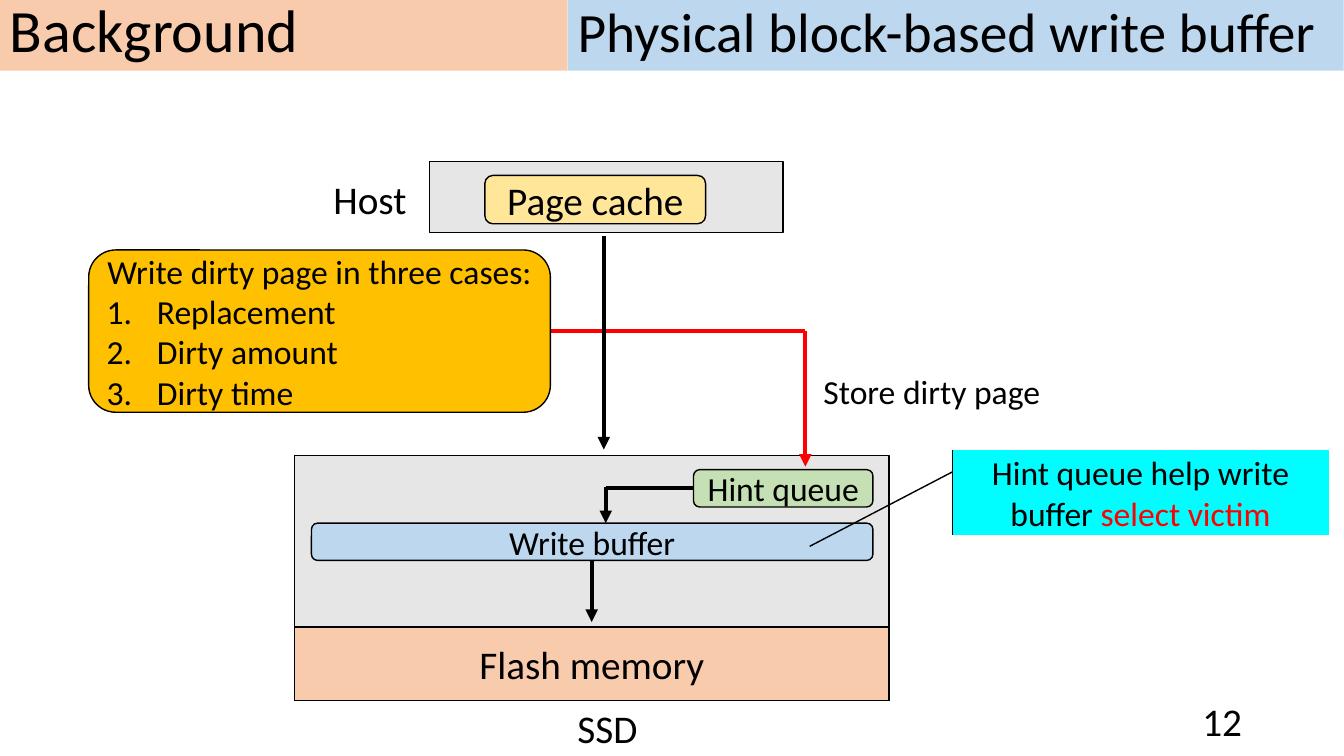
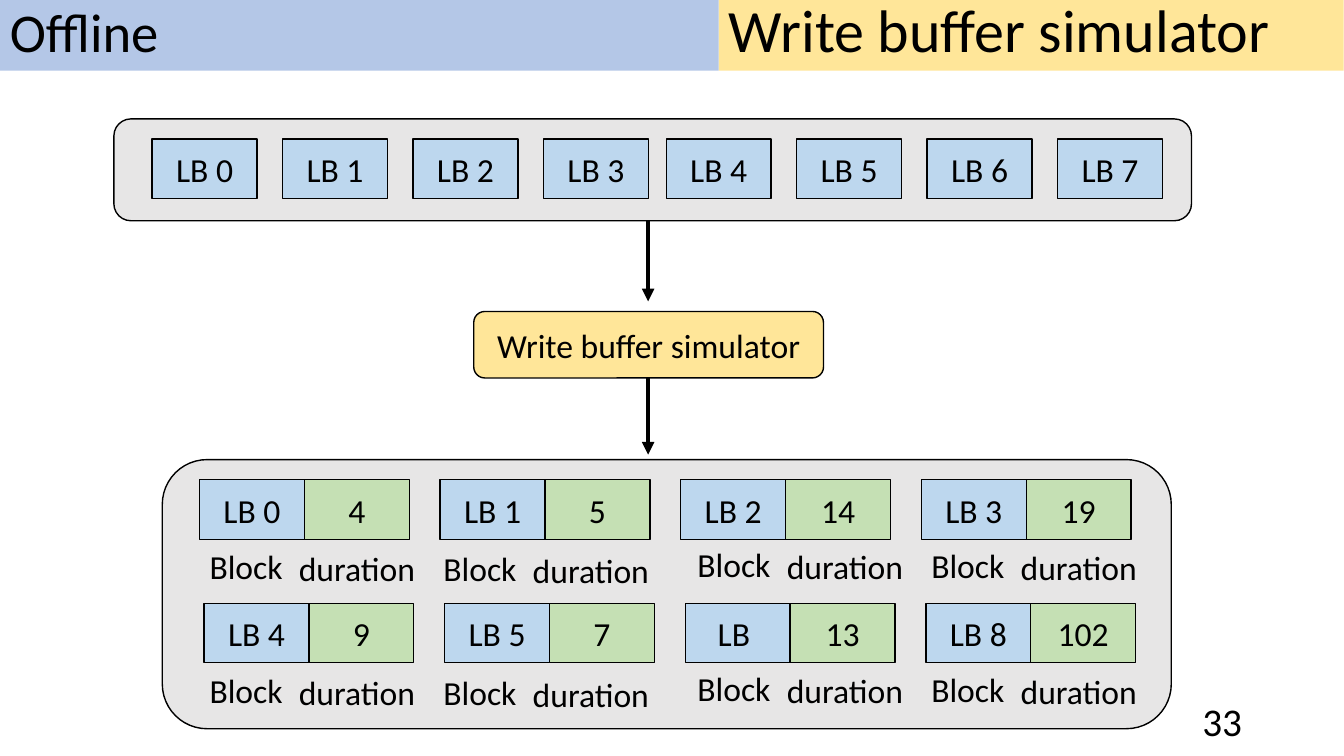
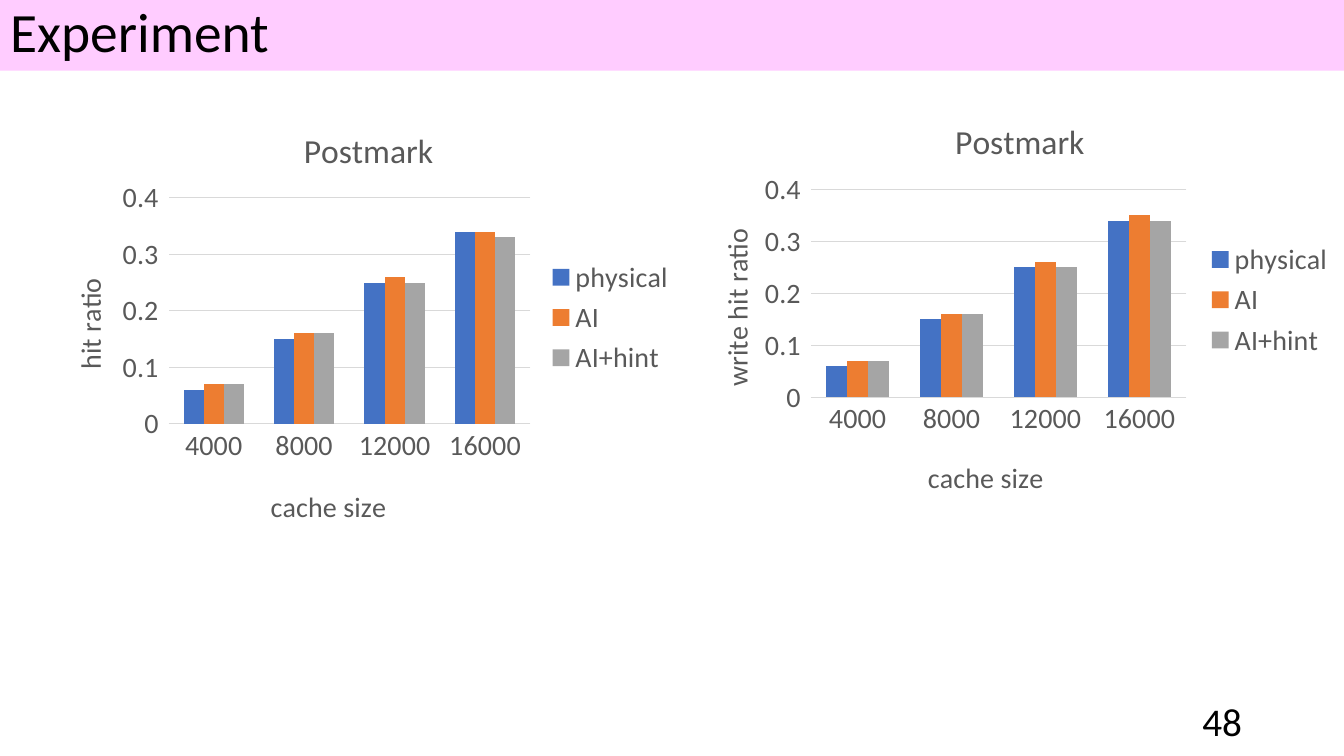
from pptx import Presentation
from pptx.chart.data import CategoryChartData
from pptx.dml.color import RGBColor
from pptx.enum.chart import XL_CHART_TYPE as ChartType, XL_LEGEND_POSITION as LegendSide
from pptx.enum.chart import XL_TICK_MARK as Tick
from pptx.enum.shapes import MSO_CONNECTOR as Connector, MSO_SHAPE as Kind
from pptx.enum.text import MSO_ANCHOR as Anchor, MSO_AUTO_SIZE as AutoSize, PP_ALIGN as Align
from pptx.oxml import parse_xml
from pptx.oxml.ns import nsdecls
from pptx.util import Inches, Pt

# Shared style; every length counts cells of a tenth-inch grid
COLS, ROWS = 133.33, 75
CELL = Inches(0.1)
FONT = "Calibri"
COLORS = {
    "black": "000000", "red": "FF0000", "gray": "E7E6E6", "blue": "BDD7EE",
    "periwinkle": "B4C7E7", "green": "C5E0B4", "yellow": "FFE699",
    "amber": "FFC000", "peach": "F8CBAD", "cyan": "00FDFF", "pink": "FFCCFF",
    "label": "595959", "grid": "D9D9D9",
}
RGB = {name: RGBColor.from_string(value) for name, value in COLORS.items()}
SERIES_COLORS = {"physical": "4472C4", "AI": "ED7D31", "AI+hint": "A5A5A5"}
BAND_HEIGHT = 7.1


def add_box(page, at, lines=(), size=24, fill=None, kind=Kind.RECTANGLE, outline=True,
            align=Align.CENTER, anchor=Anchor.MIDDLE, spacing=None):
    """Add a shape, a text box ("text") or the title ("title") with its text."""
    left, top, width, height = [round(cells * CELL) for cells in at]
    if kind == "title":
        box = page.shapes.title
        box.left, box.top, box.width, box.height = left, top, width, height
    elif kind == "text":
        box = page.shapes.add_textbox(left, top, width, height)
    else:
        box = page.shapes.add_shape(kind, left, top, width, height)
    box.shadow.inherit = False
    if fill:
        box.fill.solid()
        box.fill.fore_color.rgb = RGB[fill]
    if outline and fill:
        box.line.color.rgb = RGB["black"]
        box.line.width = Pt(1)
    else:
        box.line.fill.background()
    frame = box.text_frame
    frame.word_wrap = True
    frame.auto_size = AutoSize.NONE
    frame.vertical_anchor = anchor
    for index, line in enumerate(lines):
        para = frame.add_paragraph() if index else frame.paragraphs[0]
        para.alignment = align
        para.line_spacing = spacing
        for text, color in [(line, "black")] if isinstance(line, str) else line:
            span = para.add_run()
            span.text = text
            span.font.name = FONT
            span.font.size = Pt(size)
            span.font.color.rgb = RGB[color]
    return box


def add_line(page, start, end, color="black", arrow=True):
    """Add a straight three-point line, with an arrowhead at its end if asked."""
    ends = [round(cells * CELL) for cells in (*start, *end)]
    line = page.shapes.add_connector(Connector.STRAIGHT, *ends)
    line.line.color.rgb = RGB[color]
    line.line.width = Pt(3)
    if arrow:
        line.line._get_or_add_ln().append(
            parse_xml(f'<a:tailEnd {nsdecls("a")} type="triangle"/>'))
    line._element.spPr.append(parse_xml(f'<a:effectLst {nsdecls("a")}/>'))


deck = Presentation()
deck.slide_width, deck.slide_height = round(COLS * CELL), round(ROWS * CELL)

# Title bands and page numbers: kind, left, width, text, size, fill, line spacing
bands = {
    "12": [("title", 56.3, 77, "Physical block-based write buffer", 39.6, "blue", 0.9),
           (Kind.RECTANGLE, 0, 56.3, "Background", 42.9, "peach", 0.8)],
    "33": [("title", 71.3, 62, "Write buffer simulator", 42.9, "yellow", 0.8),
           (Kind.RECTANGLE, 0, 71.3, "Offline", 39, "periwinkle", 0.9)],
    "48": [("title", 0, COLS, "Experiment", 39.6, "pink", 0.9)],
}
pages = []
for number, page_bands in bands.items():
    page = deck.slides.add_slide(deck.slide_layouts[5])
    for kind, left, width, text, size, fill, spacing in page_bands:
        add_box(page, (left, -0.1, width, BAND_HEIGHT), [text], size, fill, kind,
                outline=False, align=Align.LEFT, spacing=spacing)
    add_box(page, (94.2, 69.5, 30, 4), [number], 28, kind="text", align=Align.RIGHT)
    pages.append(page)
background, simulator, experiment = pages

# Background: host and the cases that write dirty pages
add_line(background, (54.6, 32.8), (79.9, 32.8), "red", arrow=False)
add_box(background, (42.6, 16, 35.1, 7.1), fill="gray")
add_box(background, (48.1, 17.4, 21.9, 4.8), ["Page cache"], 28, "yellow",
        Kind.ROUNDED_RECTANGLE)
add_line(background, (59.9, 23.4), (59.9, 44.6))
cases = add_box(background, (8.8, 24.8, 45.8, 16.1),
                ["Write dirty page in three cases:", "Replacement", "Dirty amount", "Dirty time"],
                fill="amber", kind=Kind.ROUNDED_RECTANGLE)
for para in cases.text_frame.paragraphs[1:]:
    para.alignment = Align.LEFT
    props = para._p.get_or_add_pPr()
    props.set("marL", str(Inches(0.5)))
    props.set("indent", str(-Inches(0.5)))
    props.append(parse_xml(f'<a:buAutoNum {nsdecls("a")} type="arabicPeriod"/>'))

# Background: the SSD and its parts
add_box(background, (29.2, 45.2, 59, 24.3), fill="gray")
for at, text, size in [((32.1, 16.9, 10.2, 5.7), "Host", 28),
                       ((56.3, 69.4, 8.9, 5.7), "SSD", 28),
                       ((80.7, 36.3, 25.9, 5), "Store dirty page", 24)]:
    add_box(background, at, [text], size, kind="text", align=Align.LEFT, anchor=Anchor.TOP)
add_line(background, (79.9, 32.8), (79.9, 46.3), "red")
add_box(background, (30.9, 51.9, 55.7, 3.7), ["Write buffer"], fill="blue",
        kind=Kind.ROUNDED_RECTANGLE)
add_line(background, (68.8, 48.4), (60.1, 48.4), arrow=False)
add_line(background, (60.1, 48.3), (60.1, 51.9))
callout = add_box(background, (94.5, 44.6, 37.3, 8.5),
                  [[("Hint queue help write buffer ", "black"), ("select victim", "red")]],
                  fill="cyan", kind=Kind.LINE_CALLOUT_1_ACCENT_BAR)
for index, share in enumerate((0.26, 0, 1.13, -0.38)):
    callout.adjustments[index] = share
add_line(background, (58.7, 55.6), (58.7, 61.7))
add_box(background, (29.2, 62.2, 59, 7.3), ["Flash memory"], 28, "peach")
add_box(background, (68.8, 46.6, 17.8, 3.7), ["Hint queue"], fill="green",
        kind=Kind.ROUNDED_RECTANGLE)

# Simulator: input blocks in two runs of four
BLOCK_WIDTH, BLOCK_HEIGHT = 10.4, 5.9
add_box(simulator, (11.3, 11.8, 106.9, 10.1), fill="gray", kind=Kind.ROUNDED_RECTANGLE)
for block in range(8):
    half, place = divmod(block, 4)
    add_box(simulator, (15.1 + 51 * half + 12.94 * place, 13.8, BLOCK_WIDTH, BLOCK_HEIGHT),
            [f"LB {block}"], fill="blue")
add_line(simulator, (64.3, 21.9), (64.3, 29.9))
add_box(simulator, (47, 30.9, 34.7, 6.6), ["Write buffer simulator"], fill="yellow",
        kind=Kind.ROUNDED_RECTANGLE)
add_line(simulator, (64.3, 37.5), (64.3, 45.1))

# Simulator: resulting block and duration pairs
add_box(simulator, (16.1, 45.6, 100.1, 26.7), fill="gray", kind=Kind.ROUNDED_RECTANGLE)
durations = [("LB 0", "4"), ("LB 1", "5"), ("LB 2", "14"), ("LB 3", "19"),
             ("LB 4", "9"), ("LB 5", "7"), ("LB ", "13"), ("LB 8", "102")]
captions = [(19.8, 53.7), (43, 53.9), (68.2, 53.5), (91.4, 53.6)]
for index, (block, duration) in enumerate(durations):
    row, column = divmod(index, 4)
    left, top = 19.8 + 23.87 * column + 0.45 * row, 47.6 + 12.25 * row
    add_box(simulator, (left, top, BLOCK_WIDTH, BLOCK_HEIGHT), [block], fill="blue")
    add_box(simulator, (left + BLOCK_WIDTH, top, BLOCK_WIDTH, BLOCK_HEIGHT), [duration],
            fill="green")
    left, top = captions[column][0], captions[column][1] + 12.25 * row
    for at, text in [((left, top, 9.5, 5), "Block"),
                     ((left + 8.87, top + 0.2, 14.3, 5), "duration")]:
        add_box(simulator, at, [text], kind="text", align=Align.LEFT, anchor=Anchor.TOP)

# Experiment: place, value title, values, and shares of the chart area for
# the chart title, the plot (with its size), the category title and the value title
charts = [
    ((3.9, 9.5, 64.1, 44), "hit ratio",
     [(0.06, 0.15, 0.25, 0.34), (0.07, 0.16, 0.26, 0.34), (0.07, 0.16, 0.25, 0.33)],
     [(0.4, 0.06), (0.2, 0.23, 0.56, 0.51), (0.35, 0.87), (0.04, 0.4)]),
    ((68, 8.7, 65.4, 42.1), "write hit ratio",
     [(0.06, 0.15, 0.25, 0.34), (0.07, 0.16, 0.26, 0.35), (0.07, 0.16, 0.25, 0.34)],
     [(0.4, 0.06), (0.19, 0.24, 0.57, 0.49), (0.36, 0.86), (0.04, 0.32)]),
]
for at, value_title, values, layouts in charts:
    data = CategoryChartData()
    data.categories = ["4000", "8000", "12000", "16000"]
    for name, numbers in zip(SERIES_COLORS, values):
        data.add_series(name, numbers)
    chart = experiment.shapes.add_chart(
        ChartType.COLUMN_CLUSTERED, *[round(cells * CELL) for cells in at], data).chart
    chart.font.name = FONT
    chart.font.size = Pt(20)
    chart.font.color.rgb = RGB["label"]
    chart.has_legend = True
    chart.legend.position = LegendSide.RIGHT
    chart.legend.include_in_layout = False

    # Bars
    plot = chart.plots[0]
    plot.gap_width = 150
    plot.vary_by_categories = False
    for series in plot.series:
        series.format.fill.solid()
        series.format.fill.fore_color.rgb = RGBColor.from_string(SERIES_COLORS[series.name])

    # Axes
    category, value = chart.category_axis, chart.value_axis
    category.major_tick_mark = Tick.NONE
    category.format.line.color.rgb = RGB["grid"]
    category.format.line.width = Pt(0.75)
    value.minimum_scale, value.maximum_scale, value.major_unit = 0, 0.4, 0.1
    value.format.line.fill.background()
    value.major_gridlines.format.line.color.rgb = RGB["grid"]
    value.major_gridlines.format.line.width = Pt(0.75)

    # Titles
    for title, text, size in [(chart.chart_title, "Postmark", 24),
                              (category.axis_title, "cache size", 20),
                              (value.axis_title, value_title, 20)]:
        span = title.text_frame.paragraphs[0].add_run()
        span.text = text
        span.font.name = FONT
        span.font.size = Pt(size)
        span.font.bold = False
        span.font.color.rgb = RGB["label"]

    # Manual layout of the titles and the plot
    for part, shares in zip(chart.element.xpath(".//c:title | .//c:plotArea"), layouts):
        for old in part.xpath("c:layout"):
            part.remove(old)
        target = '<c:layoutTarget val="inner"/>' if len(shares) == 4 else ""
        modes = '<c:xMode val="edge"/><c:yMode val="edge"/>'
        sizes = "".join(f'<c:{key} val="{share}"/>' for key, share in zip("xywh", shares))
        layout = parse_xml(f'<c:layout {nsdecls("c")}><c:manualLayout>'
                           f'{target}{modes}{sizes}</c:manualLayout></c:layout>')
        overlay = part.xpath("c:overlay")
        if overlay:
            overlay[0].addprevious(layout)
        else:
            part.insert(0, layout)

deck.save("out.pptx")
